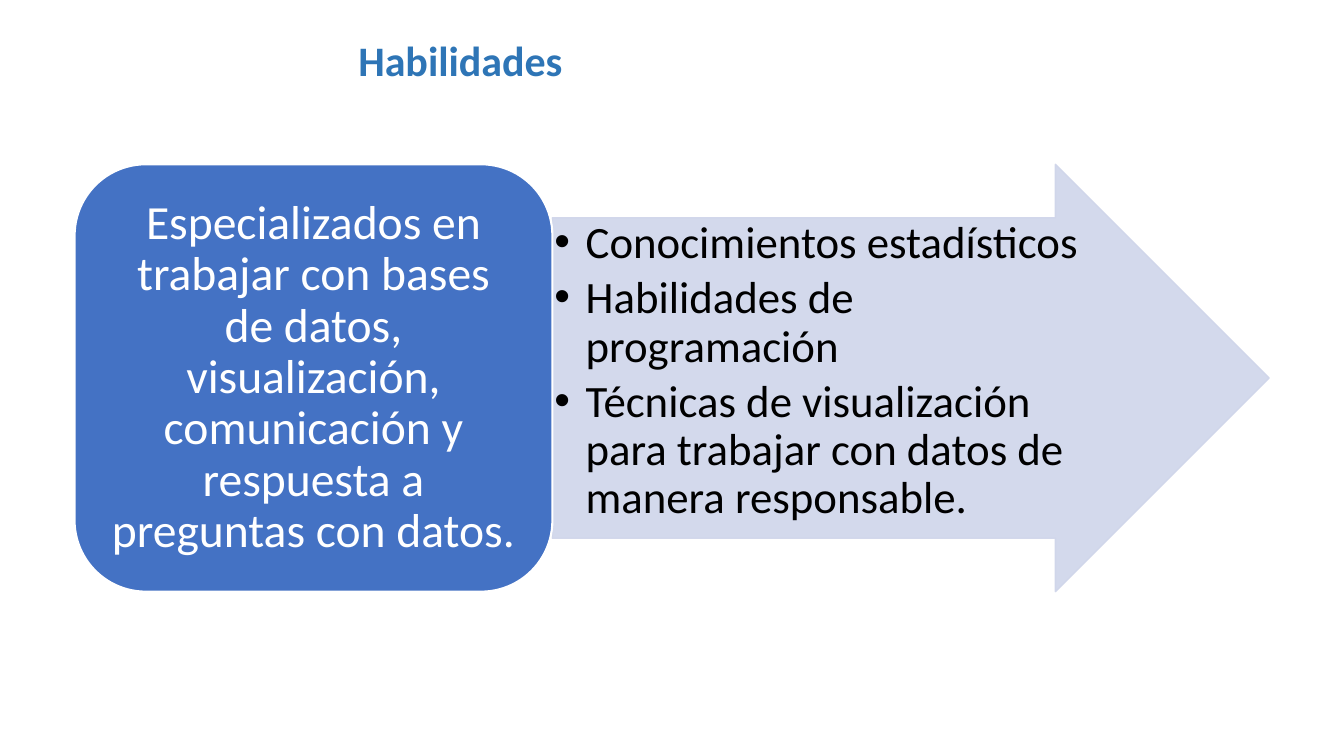
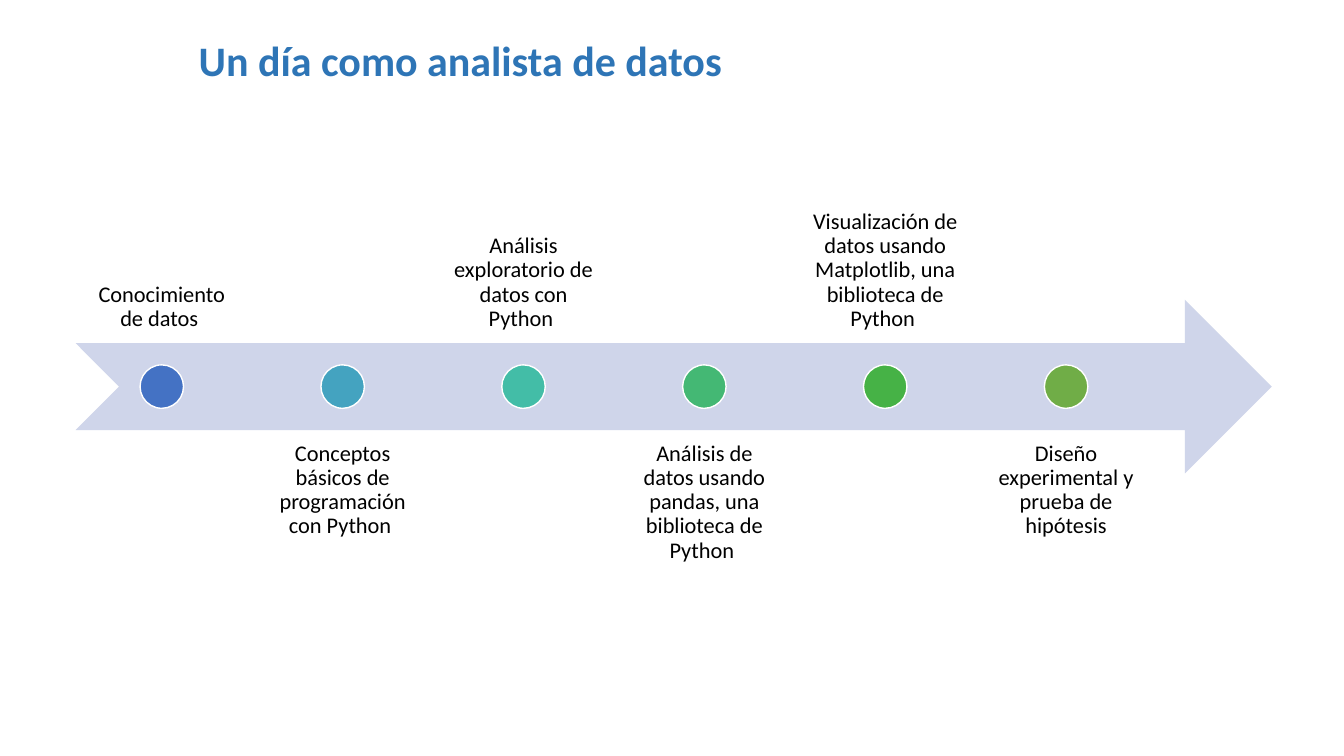
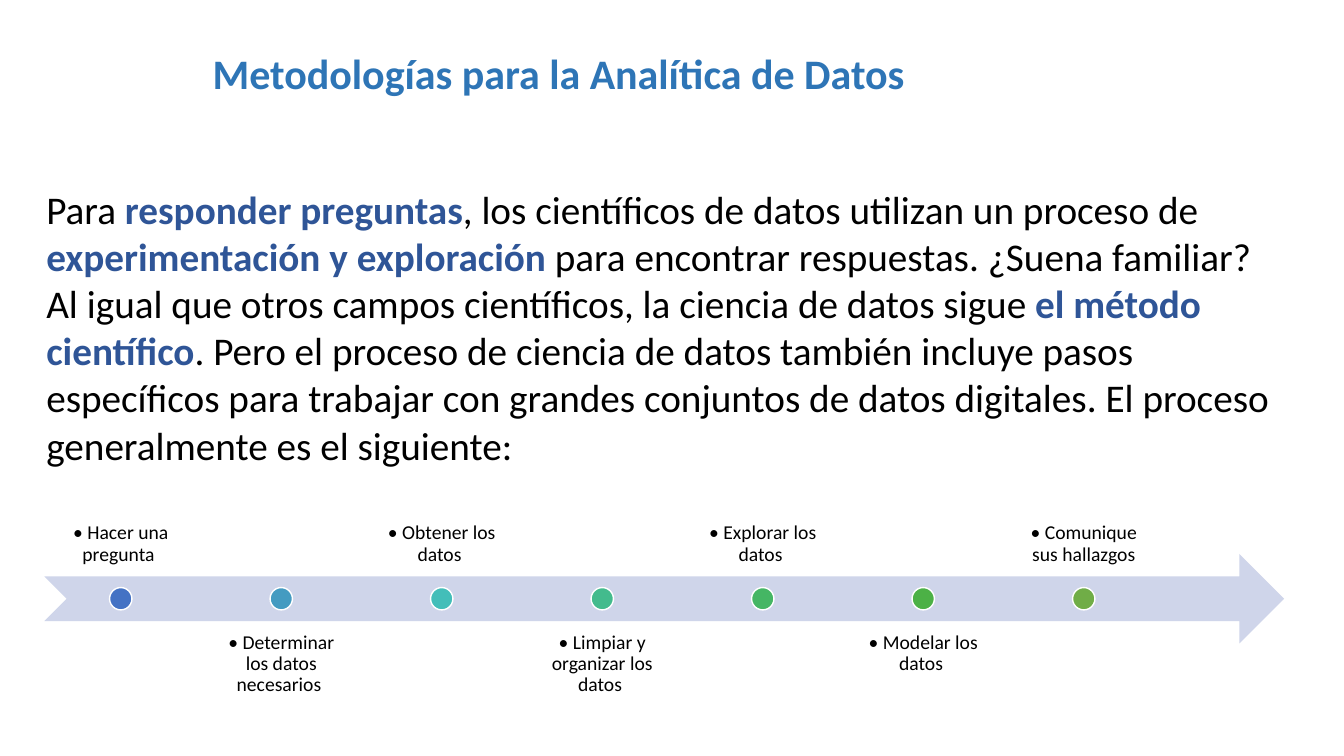
import lxml.etree
import pptx
import pptx.dml.color
import pptx.enum.shapes
import pptx.enum.text
import pptx.oxml.ns
import pptx.util

rgb = pptx.dml.color.RGBColor.from_string
qn = pptx.oxml.ns.qn
Pt, Inches = pptx.util.Pt, pptx.util.Inches
SHAPE = pptx.enum.shapes.MSO_SHAPE
ALIGN = pptx.enum.text.PP_ALIGN
ANCHOR = pptx.enum.text.MSO_ANCHOR

# Shared colours and styles
BLACK, WHITE, BLUE, PALE = "000000", "FFFFFF", "4472C4", "CFD5EA"
TITLE_BLUE, KEY_BLUE = "2E75B6", "2F5597"
CENTER = {"alignment": ALIGN.CENTER, "line_spacing": 0.9}
LEFT = {"alignment": ALIGN.LEFT, "line_spacing": 1.0}
LIST = {"alignment": ALIGN.LEFT, "line_spacing": 0.9, "space_after": Pt(4.8)}

# Grid of 100 columns by 100 rows
prs = pptx.Presentation()
prs.slide_width, prs.slide_height = Inches(13.33), Inches(7.5)
COL, ROW = prs.slide_width / 100, prs.slide_height / 100


def place(sp, left, top, width, height, fill=None, line=None, line_width=1):
    """Set position in columns and rows, and fill and line if it has any."""
    cells = {"left": left * COL, "top": top * ROW, "width": width * COL, "height": height * ROW}
    for name, value in cells.items():
        setattr(sp, name, round(value))
    if fill:
        sp.shadow.inherit = False
        sp.fill.solid()
        sp.fill.fore_color.rgb = rgb(fill)
        if line:
            sp.line.color.rgb = rgb(line)
            sp.line.width = Pt(line_width)
        else:
            sp.line.fill.background()
    return sp


def write(sp, paragraphs, size, color, layout, anchor=ANCHOR.TOP, bold=False, margins=(0.1, 0.05)):
    """Fill a shape with paragraphs; text between asterisks is highlighted."""
    tf = sp.text_frame
    x, y = (Inches(m) for m in margins)
    frame = {"word_wrap": True, "auto_size": pptx.enum.text.MSO_AUTO_SIZE.NONE,
             "vertical_anchor": anchor, "margin_left": x, "margin_right": x,
             "margin_top": y, "margin_bottom": y}
    for name, value in frame.items():
        setattr(tf, name, value)
    for i, text in enumerate(paragraphs):
        p = tf.add_paragraph() if i else tf.paragraphs[0]
        for name, value in {"space_before": Pt(0), **layout}.items():
            setattr(p, name, value)
        for j, part in enumerate(text.split("*")):
            r = p.add_run()
            r.text = part
            font = {"name": "Calibri", "size": Pt(size), "bold": bold or j % 2 == 1}
            for name, value in font.items():
                setattr(r.font, name, value)
            r.font.color.rgb = rgb(KEY_BLUE if j % 2 else color)


# Slides with their titles: layout, title, title position
WITH_BODY, TITLE_ONLY = prs.slide_layouts[1], prs.slide_layouts[5]
titles = [
    (WITH_BODY, "Habilidades", (6.67, 4.27, 55.2, 8.13)),
    (TITLE_ONLY, "Un día como analista de datos", (6.67, 4.27, 55.2, 8.13)),
    (WITH_BODY, "Metodologías para la Analítica de Datos", (-5.85, 6, 94.88, 8.13)),
]
slides = []
for slide_layout, title, at in titles:
    s = prs.slides.add_slide(slide_layout)
    write(place(s.shapes.title, *at), [title], 30, TITLE_BLUE, CENTER, ANCHOR.MIDDLE, bold=True)
    slides.append(s)
skills, day, method = slides

# Skills: translucent arrow behind the list
arrow = place(skills.shapes.add_shape(SHAPE.RIGHT_ARROW, 0, 0, 0, 0),
              41.1, 21.73, 53.33, 56.53, PALE, PALE)
arrow.adjustments[0], arrow.adjustments[1] = 0.75, 0.5
for color in arrow.element.iter(qn("a:srgbClr")):
    lxml.etree.SubElement(color, qn("a:alpha"), val="90000")
body = place(skills.placeholders[1], 41.1, 28.8, 41.48, 42.4)
body.element.addprevious(arrow.element)
write(body, [
    "Conocimientos estadísticos",
    "Habilidades de programación",
    "Técnicas de visualización para trabajar con datos de manera responsable.",
], 32, BLACK, LIST, margins=(0.02, 0.02))
for p in body.text_frame.paragraphs:
    pPr = p._p.get_or_add_pPr()
    pPr.set("marL", str(Inches(0.31)))
    pPr.set("indent", str(-Inches(0.31)))
    lxml.etree.SubElement(pPr, qn("a:buFont"), typeface="Arial")
    lxml.etree.SubElement(pPr, qn("a:buChar"), char="•")

# Skills: summary box
summary = place(skills.shapes.add_shape(SHAPE.ROUNDED_RECTANGLE, 0, 0, 0, 0),
                5.55, 21.73, 35.55, 56.53, BLUE, WHITE, 1.5)
write(summary, ["Especializados en trabajar con bases de datos, visualización, "
                "comunicación y respuesta a preguntas con datos."],
      34, WHITE, CENTER, ANCHOR.MIDDLE, margins=(0.14, 0.07))

# Method: introduction
body = place(method.placeholders[1], 2.7, 23.87, 93.38, 39.07)
write(body, ["Para *responder preguntas*, los científicos de datos utilizan un proceso de "
             "*experimentación y exploración *para encontrar respuestas. ¿Suena familiar? "
             "Al igual que otros campos científicos, la ciencia de datos sigue "
             "*el método científico*. Pero el proceso de ciencia de datos también incluye "
             "pasos específicos para trabajar con grandes conjuntos de datos digitales. "
             "El proceso generalmente es el siguiente:"], 28, BLACK, LEFT)
pPr = body.text_frame.paragraphs[0]._p.get_or_add_pPr()
pPr.set("marL", "0")
pPr.set("indent", "0")
lxml.etree.SubElement(pPr, qn("a:buNone"))

# Timelines: slide, area, text size, margin, steps with dot colours
timelines = [
    (day, (5.63, 22.4, 89, 57.47), 16, 0.12, [
        ("Conocimiento de datos ", BLUE),
        ("Conceptos básicos de programación con Python ", "44A3C0"),
        ("Análisis exploratorio de datos con Python ", "43BDA7"),
        ("Análisis de datos usando pandas, una biblioteca de Python ", "44B874"),
        ("Visualización de datos usando Matplotlib, una biblioteca de Python ", "46B246"),
        ("Diseño experimental y prueba de hipótesis", "70AD47"),
    ]),
    (method, (3.3, 64.4, 92.25, 29.6), 14, 0.11, [
        ("• Hacer una pregunta ", BLUE),
        ("• Determinar los datos necesarios ", "449BC1"),
        ("• Obtener los datos ", "43BEB9"),
        ("• Limpiar y organizar los datos ", "43BB8D"),
        ("• Explorar los datos ", "45B664"),
        ("• Modelar los datos ", "4CB146"),
        ("• Comunique sus hallazgos", "70AD47"),
    ]),
]
for s, (left, top, width, height), size, margin, steps in timelines:
    place(s.shapes.add_shape(SHAPE.NOTCHED_RIGHT_ARROW, 0, 0, 0, 0),
          left, top + 0.3 * height, width, 0.4 * height, PALE)
    # Steps fill 90 % of the arrow, with gaps of 5 % of a step
    n = len(steps)
    step_width = 0.9 * width / (n + 0.05 * (n - 1))
    dot_height = 0.1 * height
    dot_width = dot_height * ROW / COL
    for i, (text, color) in enumerate(steps):
        x = left + i * 1.05 * step_width
        below = i % 2
        label = place(s.shapes.add_textbox(0, 0, 0, 0),
                      x, top + 0.6 * height * below, step_width, 0.4 * height)
        write(label, [text], size, BLACK, CENTER,
              ANCHOR.TOP if below else ANCHOR.BOTTOM, margins=(margin, margin))
        place(s.shapes.add_shape(SHAPE.OVAL, 0, 0, 0, 0), x + (step_width - dot_width) / 2,
              top + 0.45 * height, dot_width, dot_height, color, WHITE)

prs.save("out.pptx")
